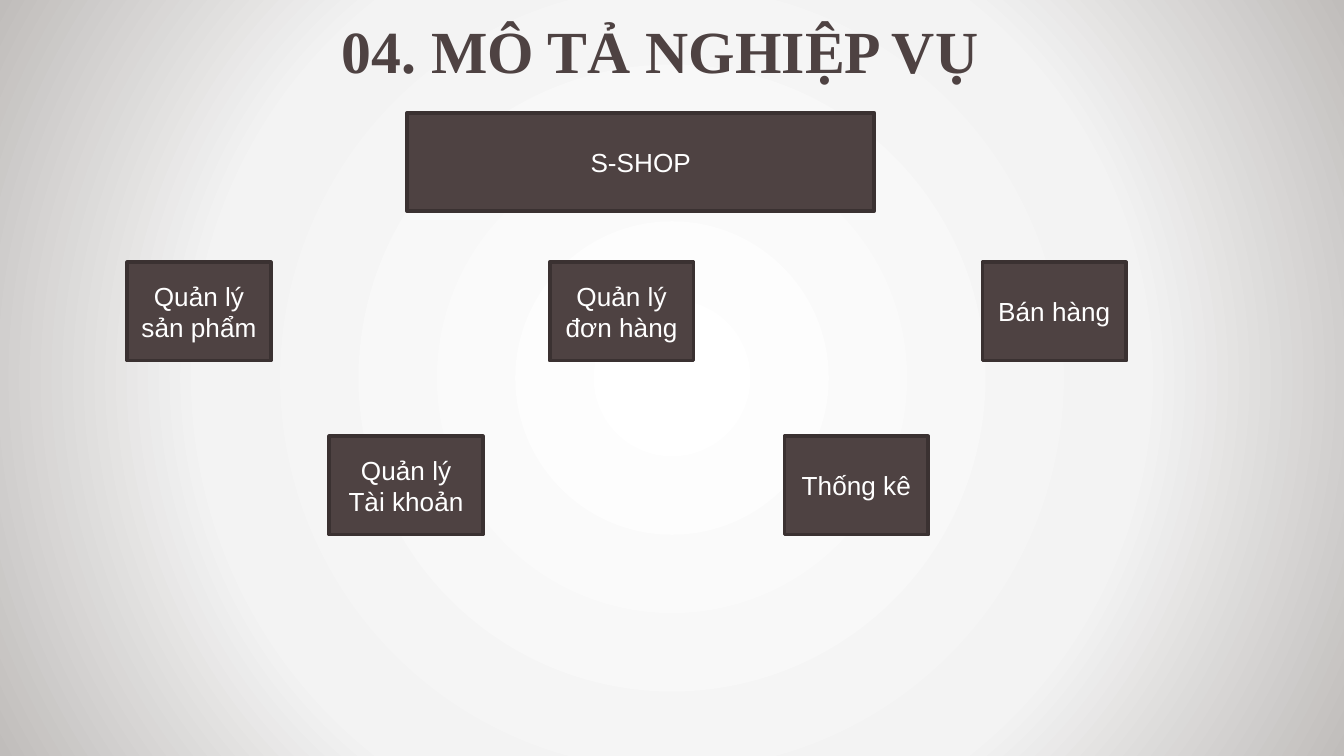
from lxml import etree
from pptx import Presentation
from pptx import util as u
from pptx.dml.color import RGBColor
from pptx.enum import shapes, text
from pptx.oxml import ns

WIDTH = u.Inches(10)
HEIGHT = u.Emu(WIDTH * 9 // 16)
BROWN, EDGE, WHITE = "4E4242", "3A3131", "FFFFFF"
BACKDROP = {0: WHITE, 61: "F3F3F3", 100: "C0BDBB"}
TITLE_FONT = {"name": "Times New Roman", "size": u.Pt(32), "bold": True}
BOX_FONT = {"name": "Arial", "size": u.Pt(14), "bold": False}
ROW_TOPS = [14.93, 34.7, 57.72]
BOX_WIDTH, BOX_HEIGHT = 10.7, 13
BOXES = [
    ("S-SHOP", 0, 30.3, 34.75),
    ("Quản lý sản phẩm", 1, 9.46, BOX_WIDTH),
    ("Quản lý Tài khoản", 2, 24.5, 11.43),
    ("Quản lý đơn hàng", 1, 40.9, BOX_WIDTH),
    ("Thống kê", 2, 58.37, BOX_WIDTH),
    ("Bán hàng", 1, 73.1, BOX_WIDTH),
]


def color(hex_code):
    """Turn a hex string into a colour."""
    return RGBColor.from_string(hex_code)


def area(left, top, width, height):
    """Turn percentages of the slide into lengths."""
    shares = zip((left, top, width, height), (WIDTH, HEIGHT) * 2)
    return [round(share * side / 100) for share, side in shares]


def paint_background(page):
    """Fill the slide with a circular gradient from its centre."""
    page.background.fill.gradient()
    gradient = page.element.find(".//" + ns.qn("a:gradFill"))
    for child in list(gradient):
        gradient.remove(child)
    stops = etree.SubElement(gradient, ns.qn("a:gsLst"))
    for position, hex_code in BACKDROP.items():
        stop = etree.SubElement(stops, ns.qn("a:gs"), pos=str(position * 1000))
        etree.SubElement(stop, ns.qn("a:srgbClr"), val=hex_code)
    circle = etree.SubElement(gradient, ns.qn("a:path"), path="circle")
    centre = dict.fromkeys("ltrb", "50000")
    etree.SubElement(circle, ns.qn("a:fillToRect"), centre)


def write(shape, words, font, hex_code, anchor):
    """Write one centred paragraph into a shape."""
    frame = shape.text_frame
    frame.word_wrap = True
    frame.vertical_anchor = anchor
    para = frame.paragraphs[0]
    para.alignment = text.PP_ALIGN.CENTER
    span = para.add_run()
    span.text = words
    span.font.color.rgb = color(hex_code)
    for name, value in font.items():
        setattr(span.font, name, value)
    return frame


def add_title(page, words):
    """Add the heading at the top of the slide."""
    box = page.shapes.add_textbox(*area(7, 0, 84.25, 11.2))
    frame = write(box, words, TITLE_FONT, BROWN, text.MSO_ANCHOR.TOP)
    for side in ("left", "top", "right", "bottom"):
        setattr(frame, f"margin_{side}", u.Inches(0.1))


def add_box(page, words, row, left, width):
    """Add one labelled function box on a row."""
    box = page.shapes.add_shape(
        shapes.MSO_SHAPE.RECTANGLE, *area(left, ROW_TOPS[row], width, BOX_HEIGHT)
    )
    box.shadow.inherit = False
    box.fill.solid()
    box.fill.fore_color.rgb = color(BROWN)
    box.line.color.rgb = color(EDGE)
    box.line.width = u.Pt(2)
    write(box, words, BOX_FONT, WHITE, text.MSO_ANCHOR.MIDDLE)


def main():
    """Build and save the slide."""
    deck = Presentation()
    deck.slide_width, deck.slide_height = WIDTH, HEIGHT
    page = deck.slides.add_slide(deck.slide_layouts[6])
    paint_background(page)
    add_title(page, "04. MÔ TẢ NGHIỆP VỤ")
    for box in BOXES:
        add_box(page, *box)
    deck.save("out.pptx")


if __name__ == "__main__":
    main()
